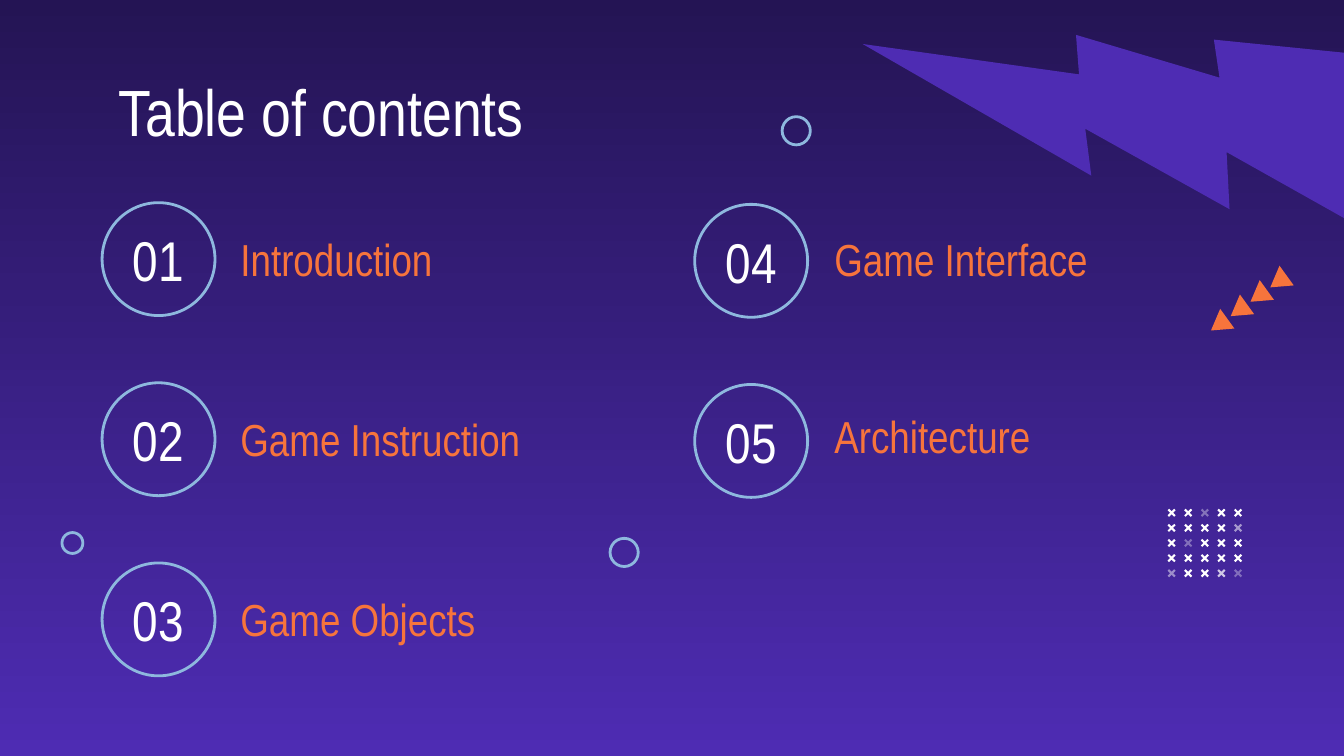
"""Build the table of contents slide of a game project deck."""
import lxml.etree
import pptx
import pptx.dml.color
import pptx.enum.shapes
import pptx.enum.text
import pptx.oxml.ns
import pptx.util

Pt = pptx.util.Pt
SHAPE = pptx.enum.shapes.MSO_SHAPE
ALIGN = pptx.enum.text.PP_ALIGN
ANCHOR = pptx.enum.text.MSO_ANCHOR
WHITE, ORANGE, BLUE, VIOLET, NIGHT = "FFFFFF", "F7743C", "8EB8DE", "4E2CB3", "241454"


def colour(value):
    return pptx.dml.color.RGBColor.from_string(value)


def draw(kind, left, top, width, height, fill=None, line=None, rotation=0):
    shape = slide.shapes.add_shape(kind, Pt(left), Pt(top), Pt(width), Pt(height))
    shape.shadow.inherit = False
    shape.rotation = rotation
    if fill:
        shape.fill.solid()
        shape.fill.fore_color.rgb = colour(fill)
    else:
        shape.fill.background()
    if line:
        shape.line.color.rgb = colour(line)
        shape.line.width = Pt(1.5)
    else:
        shape.line.fill.background()
    return shape


deck = pptx.Presentation()
deck.slide_width, deck.slide_height = Pt(720), Pt(405)
slide = deck.slides.add_slide(deck.slide_layouts[5])

backdrop = slide.background.fill
backdrop.gradient()
backdrop.gradient_angle = 270
for stop, shade, position in zip(backdrop.gradient_stops, (NIGHT, VIOLET), (0, 1)):
    stop.color.rgb = colour(shade)
    stop.position = position

bolt = draw(SHAPE.LIGHTNING_BOLT, 504, -49, 228.2, 228.2, fill=VIOLET, rotation=59.9)
bolt.element.spPr.xfrm.set("flipH", "1")

title_format = {"size": Pt(35), "name": "Arial Narrow"}
number_format = {"size": Pt(30), "name": "Arial Narrow"}
label_format = {"size": Pt(24), "name": "Arial Narrow"}
texts = [(slide.shapes.title, "Table of contents", (56.2, 31, 607, 46.1),
          ANCHOR.TOP, ALIGN.LEFT, WHITE, title_format)]

row_pitch = 96.5
columns = [
    (54.7, 108.6, 121.7, ["Introduction", "Game Instruction", "Game Objects"]),
    (372.2, 109.5, 439.9, ["Game Interface", "Architecture"]),
]
number = 0
for ring_left, ring_top, label_left, labels in columns:
    for row, label in enumerate(labels):
        number += 1
        drop = row * row_pitch
        draw(SHAPE.OVAL, ring_left, ring_top + drop, 60.5, 60.5, line=BLUE)
        number_place = (ring_left - 2, ring_top - 4.2 + drop, 64.4, 69)
        label_top = 218.9 if label == "Architecture" else 125.3 + drop
        label_place = (label_left, label_top, 245.5, 26.6)
        for words, place, align, ink, font_format in [
            (f"{number:02}", number_place, ALIGN.CENTER, WHITE, number_format),
            (label, label_place, ALIGN.LEFT, ORANGE, label_format),
        ]:
            box = slide.shapes.add_textbox(0, 0, Pt(10), Pt(10))
            texts.append((box, words, place, ANCHOR.MIDDLE, align, ink, font_format))

for box, words, place, anchor, align, ink, font_format in texts:
    for name, value in zip(("left", "top", "width", "height"), place):
        setattr(box, name, Pt(value))
    frame = box.text_frame
    frame_format = {"word_wrap": True, "vertical_anchor": anchor,
                    "auto_size": pptx.enum.text.MSO_AUTO_SIZE.NONE}
    for side in ("left", "top", "right", "bottom"):
        frame_format[f"margin_{side}"] = Pt(7.2)
    for name, value in frame_format.items():
        setattr(frame, name, value)
    para = frame.paragraphs[0]
    para.alignment = align
    if words == "Architecture":
        para.line_spacing = 1.08
        para.space_after = Pt(8)
    span = para.add_run()
    span.text = words
    span.font.color.rgb = colour(ink)
    for name, value in font_format.items():
        setattr(span.font, name, value)

faded = {(0, 2): 36, (1, 4): 53, (2, 1): 34, (4, 0): 48, (4, 3): 75, (4, 4): 33}
for row in range(5):
    for column in range(5):
        cross = draw(SHAPE.CROSS, 625.2 + column * 8.9, 272.2 + row * 8.1, 5, 5,
                     fill=WHITE, rotation=315)
        cross.adjustments[0] = 0.39
        if (row, column) in faded:
            tint = cross.element.spPr.find(".//" + pptx.oxml.ns.qn("a:srgbClr"))
            alpha = lxml.etree.SubElement(tint, pptx.oxml.ns.qn("a:alpha"))
            alpha.set("val", str(faded[row, column] * 1000))

for left, top, size in [(33.2, 285.3, 11.2), (419, 62.5, 15.1), (326.8, 288.4, 15.1)]:
    draw(SHAPE.OVAL, left, top, size, size, line=BLUE)

for step in range(4):
    draw(SHAPE.ISOSCELES_TRIANGLE, 678.4 - step * 10.6, 145.4 + step * 7.7, 13, 10.8,
         fill=ORANGE, rotation=234.2)

deck.save("out.pptx")
